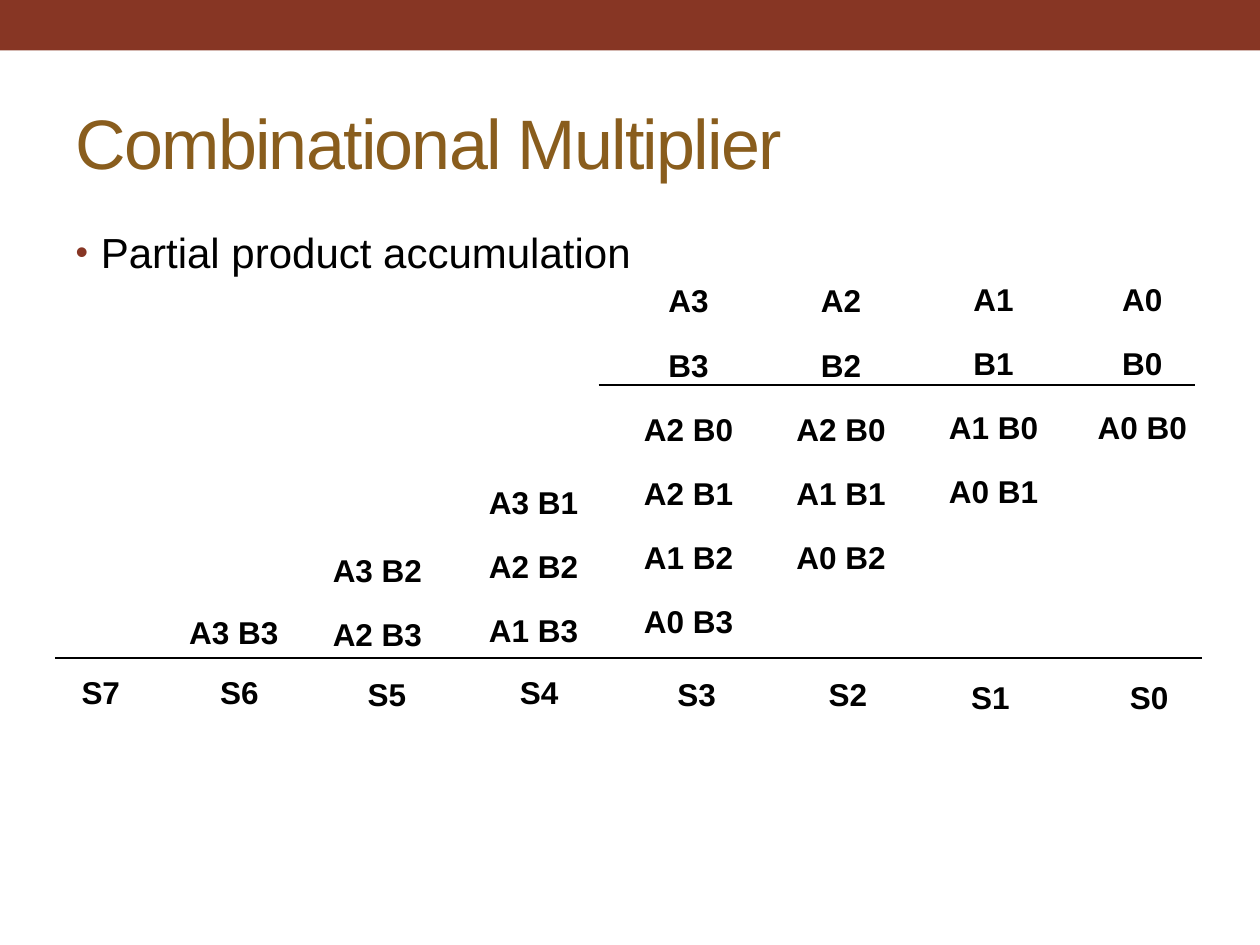
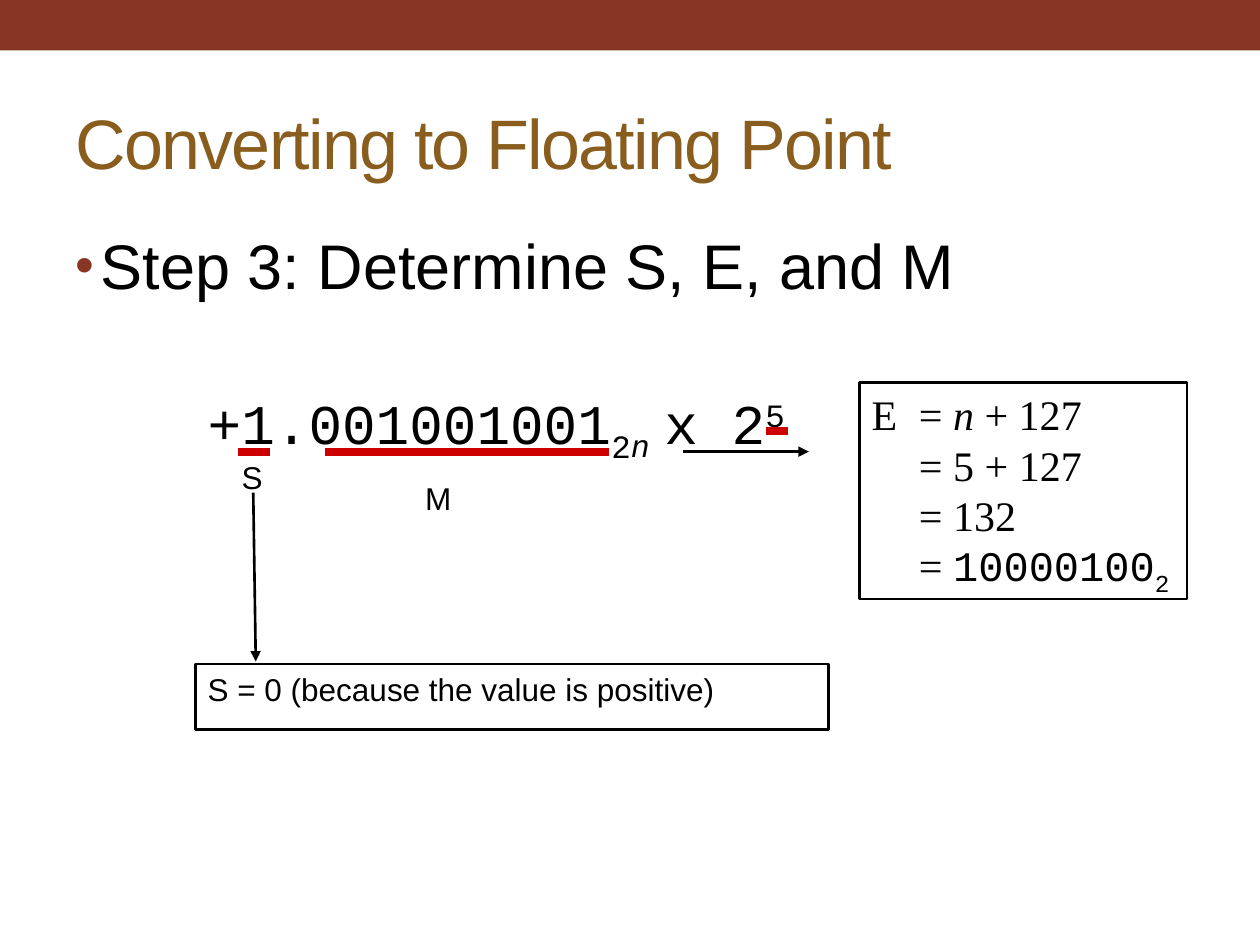
import lxml.etree
import pptx
import pptx.dml.color
import pptx.enum.shapes
import pptx.enum.text
import pptx.oxml.ns
import pptx.util

COLORS = {"band": "873624", "title": "895D1D", "text": "000000", "mark": "CC0000"}
SANS, MONO, SERIF = "Arial", "Courier New", "Times New Roman"
GRID_COLUMNS, GRID_ROWS = 100, 75
TERM_PITCH = 5.1  # grid rows from one term to the next

ALIGN = pptx.enum.text.PP_ALIGN
ANCHOR = pptx.enum.text.MSO_ANCHOR

# Each column: left, top, terms, then left and top of its sum bit
PRODUCT_COLUMNS = [
    (86.4, 22.35, ["A0", "B0", "A0 B0"], 89, 54),
    (74.6, 22.35, ["A1", "B1", "A1 B0", "A0 B1"], 76.4, 54),
    (62.5, 22.5, ["A2", "B2", "A2 B0", "A1 B1", "A0 B2"], 65.1, 53.75),
    (50.4, 22.5, ["A3", "B3", "A2 B0", "A2 B1", "A1 B2", "A0 B3"], 53.1, 53.75),
    (38.1, 38.5, ["A3 B1", "A2 B2", "A1 B3"], 40.6, 53.6),
    (25.7, 43.9, ["A3 B2", "A2 B3"], 28.5, 53.75),
    (14.3, 48.8, ["A3 B3"], 16.8, 53.6),
    (0, 0, [], 5.8, 53.6),
]


def color(name):
    return pptx.dml.color.RGBColor.from_string(COLORS[name])


def add_xml(parent, tag, **attributes):
    values = {key: str(value) for key, value in attributes.items()}
    return lxml.etree.SubElement(parent, pptx.oxml.ns.qn(tag), values)


class SlideBuilder:
    """Holds the deck style and the current slide; lengths are grid units."""

    def __init__(self, deck):
        self.deck = deck
        self.column = deck.slide_width / GRID_COLUMNS
        self.row = deck.slide_height / GRID_ROWS
        self.slide = None

    def area(self, left, top, width, height):
        return (round(left * self.column), round(top * self.row),
                round(width * self.column), round(height * self.row))

    def place(self, shape, *area):
        shape.left, shape.top, shape.width, shape.height = self.area(*area)

    def new_slide(self, title, bullet, bullet_size):
        first = self.slide is None
        self.slide = self.deck.slides.add_slide(self.deck.slide_layouts[1])
        if first:
            self.add_master_band()
        heading = self.slide.shapes.title
        self.place(heading, 5, 5.8, 90, 10.8)
        heading.text_frame.vertical_anchor = ANCHOR.MIDDLE
        para = heading.text_frame.paragraphs[0]
        para.alignment = ALIGN.LEFT
        span = self.add_span(para, title, 40, ink="title")
        span.font._element.set("spc", "-100")
        self.add_bullet(bullet, bullet_size)

    def add_master_band(self):
        """Draw the band, then move it to the master behind everything."""
        band = self.add_box(0, 0, GRID_COLUMNS, 4, fill="band")
        self.deck.slide_master.shapes.element.insert(2, band.element)

    def add_bullet(self, text, size):
        body = self.slide.placeholders[1]
        self.place(body, 5, 17.5, 90, 53.3)
        body.text_frame.auto_size = pptx.enum.text.MSO_AUTO_SIZE.NONE
        para = body.text_frame.paragraphs[0]
        self.add_span(para, text, size)
        properties = para._p.get_or_add_pPr()
        indent = round(2 * self.column)
        properties.set("marL", str(indent))
        properties.set("indent", str(-indent))
        add_xml(add_xml(properties, "a:buClr"), "a:srgbClr", val=COLORS["band"])
        add_xml(properties, "a:buSzPct", val=85000)
        add_xml(properties, "a:buChar", char="•")

    def add_span(self, para, text, size, face=SANS, ink="text", italic=False,
                 bold=False, baseline=0):
        """Add one run; baseline is its shift in percent."""
        span = para.add_run()
        span.text = text
        font = span.font
        font.size, font.name = pptx.util.Pt(size), face
        font.italic, font.bold = italic, bold
        font.color.rgb = color(ink)
        if baseline:
            font._element.set("baseline", str(baseline * 1000))
        return span

    def add_box(self, left, top, width, height, fill=None, line_width=0):
        box = self.slide.shapes.add_shape(
            pptx.enum.shapes.MSO_SHAPE.RECTANGLE, *self.area(left, top, width, height))
        box.shadow.inherit = False
        if fill:
            box.fill.solid()
            box.fill.fore_color.rgb = color(fill)
        else:
            box.fill.background()
        if line_width:
            box.line.color.rgb = color("text")
            box.line.width = pptx.util.Pt(line_width)
        else:
            box.line.fill.background()
        return box

    def write_lines(self, box, lines, tab=0):
        """Fill a box with lines of (text, span options); tab is in columns."""
        frame = box.text_frame
        frame.word_wrap = True
        frame.vertical_anchor = ANCHOR.TOP
        frame.margin_right = 0
        for index, line in enumerate(lines):
            para = frame.add_paragraph() if index else frame.paragraphs[0]
            para.alignment = ALIGN.LEFT
            for text, options in line:
                self.add_span(para, text, **options)
            if tab:
                tabs = add_xml(para._p.get_or_add_pPr(), "a:tabLst")
                add_xml(tabs, "a:tab", pos=round(tab * self.column), algn="l")

    def add_text(self, left, top, width, height, line):
        box = self.slide.shapes.add_textbox(*self.area(left, top, width, height))
        self.write_lines(box, [line])

    def add_terms(self, left, top, width, terms):
        """Stack bold centred terms at the term pitch."""
        height = 3.1 + TERM_PITCH * (len(terms) - 1)
        box = self.slide.shapes.add_textbox(*self.area(left, top, width, height))
        frame = box.text_frame
        frame.word_wrap = False
        frame.margin_left = frame.margin_right = pptx.util.Inches(0.04)
        frame.margin_top = frame.margin_bottom = pptx.util.Inches(0.03)
        for index, term in enumerate(terms):
            para = frame.add_paragraph() if index else frame.paragraphs[0]
            para.alignment = ALIGN.CENTER
            para.line_spacing = 0.85
            if index:
                para.space_before = pptx.util.Pt(18.3)
            self.add_span(para, term, 18, bold=True)

    def add_line(self, start, end, width, ink="text", arrow=False):
        line = self.slide.shapes.add_connector(
            pptx.enum.shapes.MSO_CONNECTOR.STRAIGHT, *self.area(*start, *end))
        line.line.color.rgb = color(ink)
        line.line.width = pptx.util.Pt(width)
        if arrow:
            add_xml(line.line._get_or_add_ln(), "a:tailEnd", type="triangle")
        add_xml(line._element.spPr, "a:effectLst")


def build_multiplier(builder):
    builder.new_slide("Combinational Multiplier", "Partial product accumulation", 24)
    for bit, (left, top, terms, sum_left, sum_top) in enumerate(PRODUCT_COLUMNS):
        if terms:
            builder.add_terms(left, top, 8.5, terms)
        builder.add_terms(sum_left, sum_top, 4.4, [f"S{bit}"])
    builder.add_line((47.5, 30.55), (94.85, 30.55), 1)
    builder.add_line((4.4, 52.2), (95.4, 52.2), 1)


def build_floating_point(builder):
    builder.new_slide("Converting to Floating Point", "Step 3: Determine S, E, and M", 36)
    number = {"size": 32, "face": MONO}
    label = {"size": 18}
    serif = {"size": 24, "face": SERIF}
    binary = {"size": 24, "face": MONO}

    builder.add_text(15.5, 30.35, 48.8, 6.4, [
        ("+1.001001001", number), ("2", {**number, "baseline": -25}),
        (" x 2", number), ("5", {**number, "baseline": 30})])
    for left, right, row in [(18.9, 21.4, 35.85), (25.8, 48.3, 35.85), (60.8, 62.5, 34.2)]:
        builder.add_line((left, row), (right, row), 4.5, "mark")
    builder.add_text(18.2, 35.85, 3.9, 5, [("S", label)])
    builder.add_text(32.75, 37.5, 5, 5, [("M", label)])
    builder.add_text(49.15, 33.3, 3.7, 5, [("n", {**label, "italic": True})])

    sign_box = builder.add_box(15.5, 52.7, 50.25, 5.2, line_width=1.5)
    builder.write_lines(sign_box, [[("S = 0 (because the value is positive)", label)]])
    exponent_box = builder.add_box(68.2, 30.35, 26, 17.2, line_width=1.5)
    builder.write_lines(exponent_box, [
        [("E\t= ", serif), ("n", {**serif, "italic": True}), (" + 127", serif)],
        [("\t= 5 + 127", serif)],
        [("\t= 132", serif)],
        [("\t= ", serif), ("10000100", binary), ("2", {**binary, "baseline": -25})],
    ], tab=3.75)
    builder.add_line((20.1, 39.1), (20.3, 52.5), 1.5, arrow=True)
    builder.add_line((54.2, 35.85), (64.2, 35.85), 1.5, arrow=True)


def main():
    deck = pptx.Presentation()
    deck.slide_width = pptx.util.Inches(10)
    deck.slide_height = pptx.util.Inches(7.5)
    builder = SlideBuilder(deck)
    build_multiplier(builder)
    build_floating_point(builder)
    deck.save("out.pptx")


if __name__ == "__main__":
    main()
